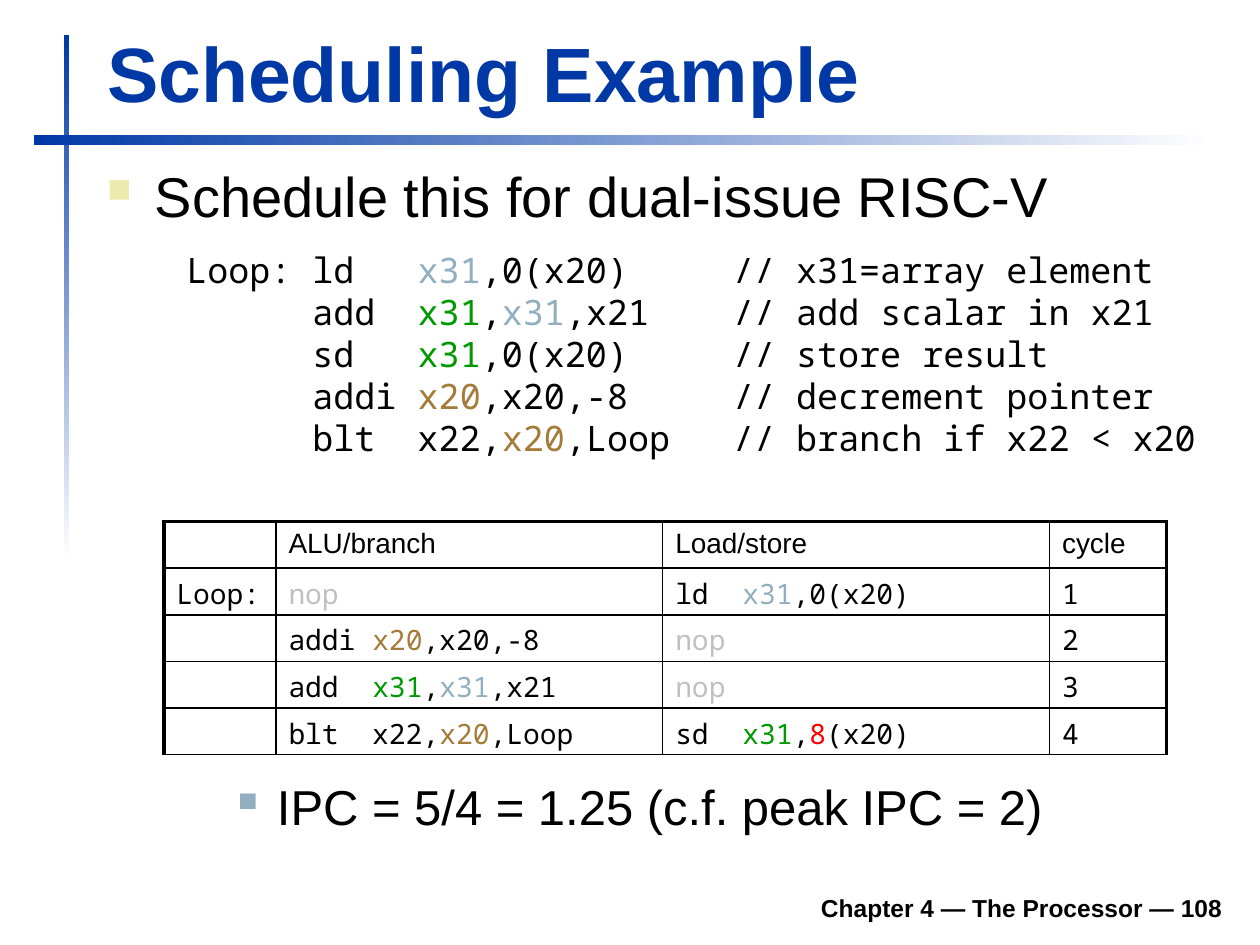
from lxml import etree
from pptx import Presentation
from pptx.dml.color import RGBColor
from pptx.enum import shapes, text
from pptx.oxml import ns
from pptx.util import Inches, Pt

THEME = {
    "sans": "Arial", "mono": "Noto Sans Mono",
    "title": 44, "body": 32, "detail": 28, "code": 20, "cell": 16, "footer": 14,
    "navy": "0039A6", "black": "000000", "white": "FFFFFF", "sand": "ECEAAC",
    "steel": "91AFBF",
}
# Between bars, the first letter picks the colour of the words that follow it.
MARKS = {"L": THEME["steel"], "R": "009900", "P": "A47B38", "N": "C0C0C0", "O": "FF0000"}

TITLE = "Scheduling Example"
TASK = "Schedule this for dual-issue RISC-V"
RESULT = "IPC = 5/4 = 1.25 (c.f. peak IPC = 2)"
FOOTER = "Chapter 4 — The Processor — 108"
CODE = [
    "Loop: ld   |Lx31|,0(x20)     // x31=array element",
    "      add  |Rx31|,|Lx31|,x21    // add scalar in x21",
    "      sd   |Rx31|,0(x20)     // store result",
    "      addi |Px20|,x20,-8     // decrement pointer",
    "      blt  x22,|Px20|,Loop   // branch if x22 < x20",
]
SCHEDULE = [
    ["", "ALU/branch", "Load/store", "cycle"],
    ["Loop:", "|Nnop|", "ld  |Lx31|,0(x20)", "1"],
    ["", "addi |Px20|,x20,-8", "|Nnop|", "2"],
    ["", "add  |Rx31|,|Lx31|,x21", "|Nnop|", "3"],
    ["", "blt  x22,|Px20|,Loop", "sd  |Rx31|,|O8|(x20)", "4"],
]
COLUMN_WIDTHS = [0.89, 3.07, 3.07, 0.93]
ROW_HEIGHT = 0.37
OUTER, HEADER, INNER = 2.25, 1.5, 1


def inches(*lengths):
    return [Inches(length) for length in lengths]


def format_run(run, font, size, color=THEME["black"], bold=False):
    run.font.name, run.font.size, run.font.bold = font, Pt(size), bold
    run.font.color.rgb = RGBColor.from_string(color)


def add_marked_text(paragraph, marked, font, size):
    """Add runs, colouring each part that stands between bars."""
    for index, part in enumerate(marked.split("|")):
        if part:
            color = MARKS[part[0]] if index % 2 else THEME["black"]
            run = paragraph.add_run()
            run.text = part[1:] if index % 2 else part
            format_run(run, font, size, color)


def add_textbox(slide, box, wrap=True):
    frame = slide.shapes.add_textbox(*inches(*box)).text_frame
    frame.word_wrap = wrap
    return frame


def add_fading_bar(slide, box, angle):
    bar = slide.shapes.add_shape(shapes.MSO_SHAPE.RECTANGLE, *inches(*box))
    bar.shadow.inherit = False
    bar.line.fill.background()
    bar.fill.gradient()
    bar.fill.gradient_angle = angle
    for stop, name in zip(bar.fill.gradient_stops, ("navy", "white")):
        stop.color.rgb = RGBColor.from_string(THEME[name])


def add_bullet(slide, box, words, size, color, percent, margin, hang):
    paragraph = add_textbox(slide, box).paragraphs[0]
    paragraph.text = words
    paragraph.space_before = Pt(3)
    format_run(paragraph.runs[0], THEME["sans"], size)
    properties = paragraph._p.get_or_add_pPr()
    properties.set("marL", str(Inches(margin)))
    properties.set("indent", str(-Inches(hang)))
    bullet_color = etree.SubElement(properties, ns.qn("a:buClr"))
    etree.SubElement(bullet_color, ns.qn("a:srgbClr"), val=color)
    etree.SubElement(properties, ns.qn("a:buSzPct"), val=str(percent * 1000))
    etree.SubElement(properties, ns.qn("a:buChar"), char="■")


def set_borders(cell, widths):
    """Set the left, right, top and bottom lines, with widths in points."""
    properties = cell._tc.get_or_add_tcPr()
    for position, (side, width) in enumerate(zip("LRTB", widths)):
        line = etree.Element(ns.qn(f"a:ln{side}"), w=str(Pt(width)))
        fill = etree.SubElement(line, ns.qn("a:solidFill"))
        etree.SubElement(fill, ns.qn("a:srgbClr"), val=THEME["black"])
        properties.insert(position, line)


def add_schedule(slide, left, top):
    row_count, column_count = len(SCHEDULE), len(COLUMN_WIDTHS)
    size = sum(COLUMN_WIDTHS), ROW_HEIGHT * row_count
    table = slide.shapes.add_table(
        row_count, column_count, *inches(left, top, *size)).table
    table.first_row = table.horz_banding = False
    for column, width in zip(table.columns, COLUMN_WIDTHS):
        column.width = Inches(width)
    vertical = [OUTER] + [INNER] * (column_count - 1) + [OUTER]
    horizontal = [OUTER, HEADER] + [INNER] * (row_count - 1)
    for r, row in enumerate(SCHEDULE):
        table.rows[r].height = Inches(ROW_HEIGHT)
        for c, words in enumerate(row):
            cell = table.cell(r, c)
            cell.fill.background()
            paragraph = cell.text_frame.paragraphs[0]
            add_marked_text(paragraph, words, THEME["mono" if r else "sans"], THEME["cell"])
            if not words:
                ending = etree.SubElement(paragraph._p, ns.qn("a:endParaRPr"))
                ending.set("sz", str(THEME["cell"] * 100))
            set_borders(cell, (*vertical[c:c + 2], *horizontal[r:r + 2]))


def main():
    presentation = Presentation()
    presentation.slide_width, presentation.slide_height = inches(10, 7.5)
    slide = presentation.slides.add_slide(presentation.slide_layouts[5])

    add_fading_bar(slide, (0.51, 0.28, 0.04, 4.17), 270)
    add_fading_bar(slide, (0.27, 1.07, 9.37, 0.08), 0)

    title = slide.shapes.title
    title.left, title.top, title.width, title.height = inches(0.75, 0.16, 9.03, 0.83)
    title.text_frame.text = TITLE
    title.text_frame.vertical_anchor = text.MSO_ANCHOR.BOTTOM
    heading = title.text_frame.paragraphs[0]
    heading.alignment = text.PP_ALIGN.LEFT
    format_run(heading.runs[0], THEME["sans"], THEME["title"], THEME["navy"], True)

    add_bullet(slide, (0.75, 1.23, 9.05, 0.76), TASK, THEME["body"],
               THEME["sand"], 60, 0.38, 0.38)

    code = add_textbox(slide, (1.38, 1.92, 8.28, 1.78), wrap=False).paragraphs[0]
    for index, line in enumerate(CODE):
        if index:
            code.add_line_break()
        add_marked_text(code, line, THEME["mono"], THEME["code"])

    add_schedule(slide, 1.3, 4.14)
    add_bullet(slide, (1.29, 6.11, 8.5, 0.71), RESULT, THEME["detail"],
               THEME["steel"], 55, 0.81, 0.31)

    footer = add_textbox(slide, (1.85, 6.98, 7.95, 0.39))
    footer.text = FOOTER
    footer.vertical_anchor = text.MSO_ANCHOR.BOTTOM
    footer.paragraphs[0].alignment = text.PP_ALIGN.RIGHT
    format_run(footer.paragraphs[0].runs[0], THEME["sans"], THEME["footer"], bold=True)

    presentation.save("out.pptx")


if __name__ == "__main__":
    main()
